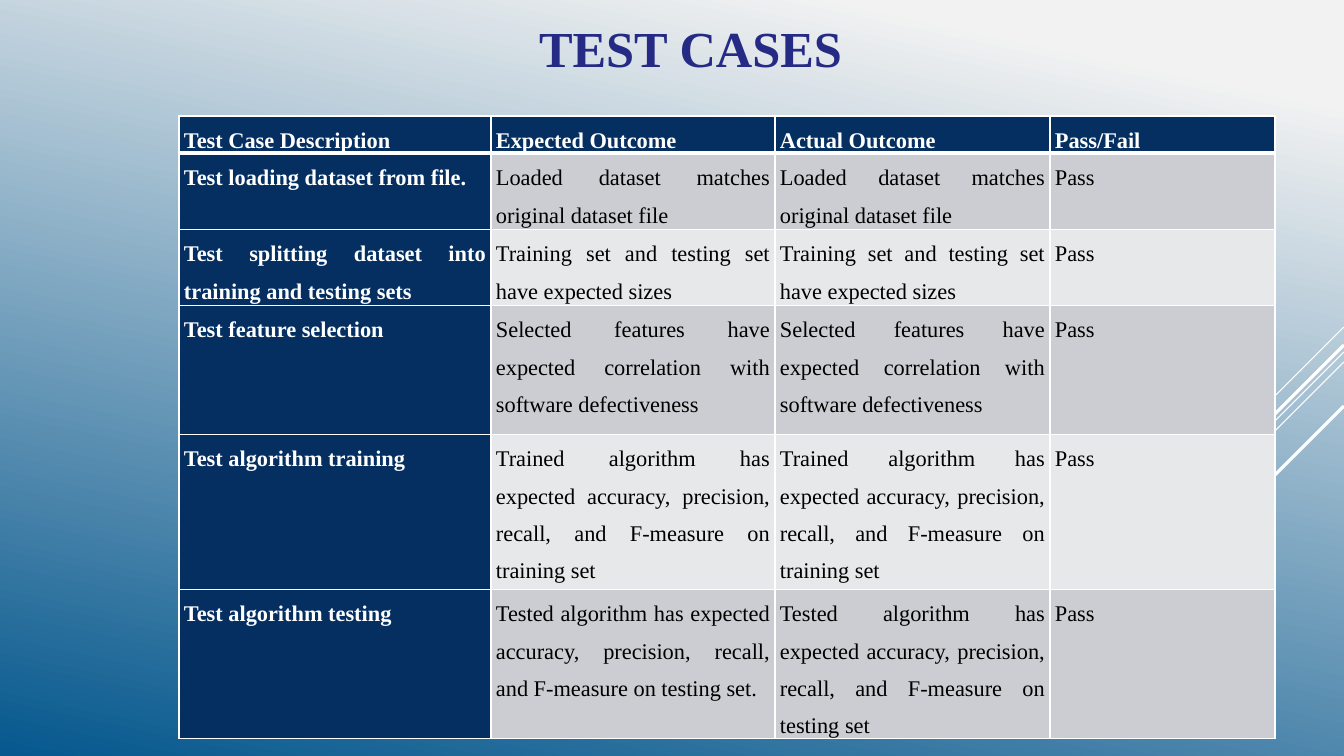
from lxml import etree
from pptx import Presentation
from pptx.dml.color import RGBColor
from pptx.enum.shapes import MSO_CONNECTOR
from pptx.enum.text import MSO_ANCHOR, PP_ALIGN
from pptx.oxml import parse_xml
from pptx.oxml.ns import nsdecls, qn
from pptx.util import Pt

EMU_PER_PX = 914400 / 100.8
FONT = "Times New Roman"
NAVY, WHITE, BLACK, TITLE_BLUE = "052F61", "FFFFFF", "000000", "252A85"
BANDS = ("CCCDD2", "E7E8EA")

# Right end y, horizontal run and width of each 45-degree line
DIAGONALS = [(327, 101, 0.75), (352, 329, 0.75), (362, 210, 0.75),
             (345, 193, 2.25), (406, 140, 2.25)]

COLUMN_WIDTHS = [312, 284, 275, 225]
ROW_HEIGHTS = [37, 76, 76, 129, 155, 149]
TRAINED = ("Trained algorithm has expected accuracy, precision, recall, "
           "and F-measure on training set")
TESTED = ("Tested algorithm has expected accuracy, precision, recall, "
          "and F-measure on testing set")
MATCHES = "Loaded dataset matches original dataset file"
SIZES = "Training set and testing set have expected sizes"
FEATURES = ("Selected features have expected correlation "
            "with software defectiveness")
ROWS = [
    ("Test Case Description", "Expected Outcome", "Actual Outcome", "Pass/Fail"),
    ("Test loading dataset from file.", MATCHES, MATCHES, "Pass"),
    ("Test splitting dataset into training and testing sets", SIZES, SIZES, "Pass"),
    ("Test feature selection", FEATURES, FEATURES, "Pass"),
    ("Test algorithm training", TRAINED, TRAINED, "Pass"),
    ("Test algorithm testing", TESTED + ".", TESTED, "Pass"),
]


def px(n):
    return round(n * EMU_PER_PX)


def rgb(value):
    return RGBColor.from_string(value)


def set_attrs(obj, values):
    for name, value in values.items():
        setattr(obj, name, value)


def format_font(font, size, color, bold):
    set_attrs(font, {"name": FONT, "size": Pt(size), "bold": bold})
    font.color.rgb = rgb(color)


def set_background(slide):
    fill = slide.background.fill
    fill.gradient()
    fill.gradient_angle = 258
    stops = [(0.1, "F2F2F2"), (1, "06588E")]
    for stop, (position, color) in zip(fill.gradient_stops, stops):
        stop.position = position
        stop.color.rgb = rgb(color)


def add_diagonal(slide, y, run, width):
    """Draw a line from the right edge of the slide down to the left."""
    line = slide.shapes.add_connector(
        MSO_CONNECTOR.STRAIGHT, px(1344), px(y), px(1344 - run), px(y + run))
    line.line.color.rgb = rgb(WHITE)
    line.line.width = Pt(width)
    etree.SubElement(line._element.spPr, qn("a:effectLst"))


def format_title(slide, text):
    title = slide.shapes.title
    set_attrs(title, {"left": px(529), "top": px(12),
                      "width": px(349), "height": px(72)})
    tf = title.text_frame
    set_attrs(tf, {"text": text, "word_wrap": False,
                   "vertical_anchor": MSO_ANCHOR.TOP})
    p = tf.paragraphs[0]
    p.alignment = PP_ALIGN.LEFT
    format_font(p.runs[0].font, 36, TITLE_BLUE, True)


def set_borders(cell, top, bottom):
    """Add white cell borders; top and bottom are widths in points."""
    sides = [("L", 1), ("R", 1), ("T", top), ("B", bottom)]
    for i, (side, width) in enumerate(sides):
        cell._tc.get_or_add_tcPr().insert(i, parse_xml(
            f'<a:ln{side} {nsdecls("a")} w="{Pt(width)}"><a:solidFill>'
            f'<a:srgbClr val="{WHITE}"/></a:solidFill></a:ln{side}>'))


def fill_cell(cell, text, row, col):
    heading = row == 0 or col == 0
    set_attrs(cell, {"text": text, "margin_left": px(5), "margin_right": px(5),
                     "margin_top": 0, "margin_bottom": 0})
    cell.fill.solid()
    cell.fill.fore_color.rgb = rgb(NAVY if heading else BANDS[(row - 1) % 2])
    set_borders(cell, 3 if row == 1 else 1, 3 if row == 0 else 1)
    p = cell.text_frame.paragraphs[0]
    set_attrs(p, {"alignment": PP_ALIGN.JUSTIFY, "line_spacing": 1.5,
                  "space_after": Pt(8)})
    format_font(p.runs[0].font, 16, WHITE if heading else BLACK, heading)


def add_test_table(slide):
    table = slide.shapes.add_table(
        len(ROWS), len(COLUMN_WIDTHS), px(179), px(116),
        px(sum(COLUMN_WIDTHS)), px(sum(ROW_HEIGHTS))).table
    for column, width in zip(table.columns, COLUMN_WIDTHS):
        column.width = px(width)
    for r, (height, texts) in enumerate(zip(ROW_HEIGHTS, ROWS)):
        table.rows[r].height = px(height)
        for c, text in enumerate(texts):
            fill_cell(table.cell(r, c), text, r, c)


def main():
    prs = Presentation()
    set_attrs(prs, {"slide_width": px(1344), "slide_height": px(756)})
    slide = prs.slides.add_slide(prs.slide_layouts.get_by_name("Title Only"))
    set_background(slide)
    format_title(slide, "TEST CASES")
    for diagonal in DIAGONALS:
        add_diagonal(slide, *diagonal)
    add_test_table(slide)
    prs.save("out.pptx")


if __name__ == "__main__":
    main()
